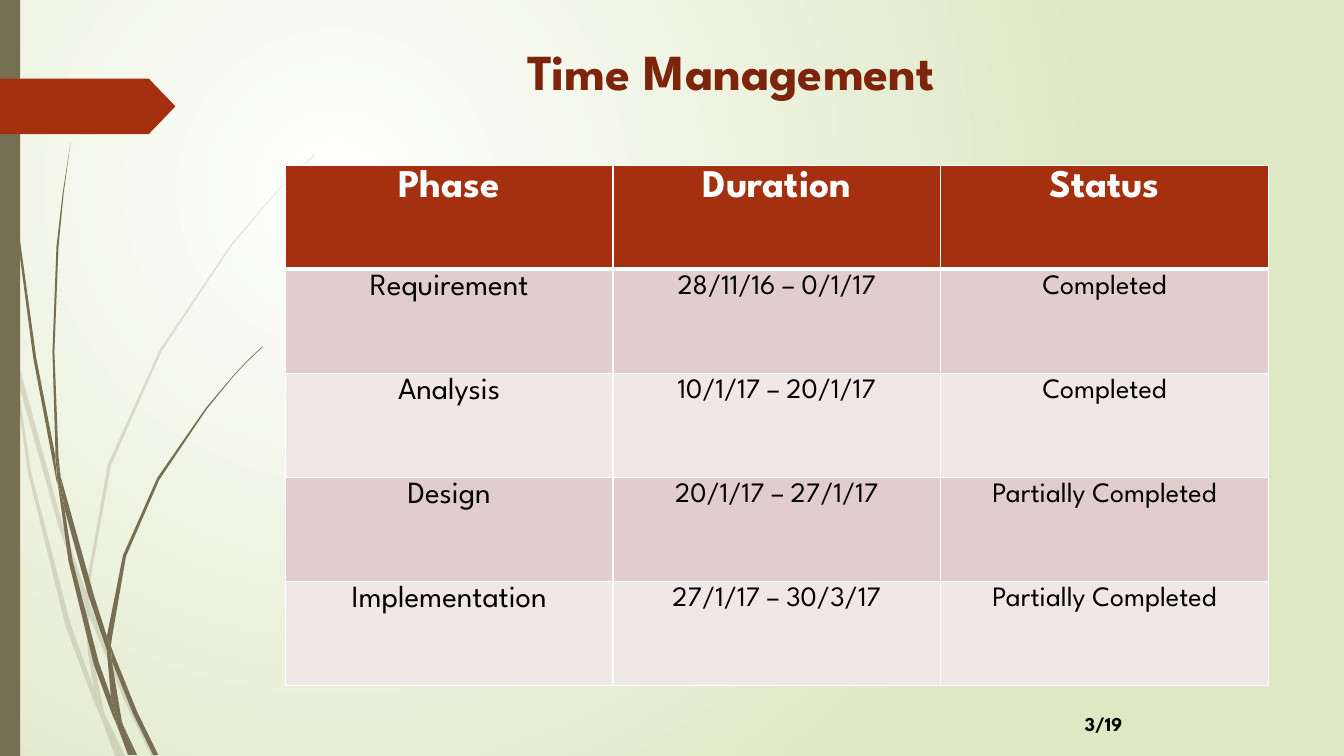
import pptx
import pptx.util
import pptx.dml.color
import pptx.enum.shapes
import pptx.enum.text
import pptx.oxml
import pptx.oxml.ns

Inches = pptx.util.Inches
Pt = pptx.util.Pt
RGBColor = pptx.dml.color.RGBColor
SHAPE = pptx.enum.shapes.MSO_SHAPE
ALIGN = pptx.enum.text.PP_ALIGN
ANCHOR = pptx.enum.text.MSO_ANCHOR
qn = pptx.oxml.ns.qn
NS = pptx.oxml.ns.nsdecls("a")

FONT = "League Spartan"
WHITE = RGBColor(0xFF, 0xFF, 0xFF)
BLACK = RGBColor(0, 0, 0)
GREEN = RGBColor(0xDF, 0xE8, 0xC4)
OLIVE = RGBColor(0x76, 0x6F, 0x54)
RUST = RGBColor(0xA5, 0x30, 0x10)
BROWN = RGBColor(0x7C, 0x24, 0x0C)
ROSE = RGBColor(0xE1, 0xCD, 0xCC)
BLUSH = RGBColor(0xF0, 0xE8, 0xE7)

ROWS = [
    ("Phase", "Duration", "Status"),
    ("Requirement", "28/11/16 – 0/1/17", "Completed"),
    ("Analysis", "10/1/17 – 20/1/17", "Completed"),
    ("Design", "20/1/17 – 27/1/17", "Partially Completed"),
    ("Implementation", "27/1/17 – 30/3/17", "Partially Completed"),
]

PALE = [
    [(0.11, 3.5), (0.09, 3.22), (0, 2.82), (0, 2.99), (0.1, 3.44)],
    [(0.58, 5.22), (0.84, 5.99), (0.85, 5.86), (0.62, 5.2), (0.14, 3.45), (0.17, 3.76)],
    [(0.92, 6.07), (0.88, 5.96), (0.88, 6.1), (1.23, 6.94), (1.5, 7.5), (1.55, 7.5),
     (1.27, 6.92)],
    [(1.19, 7.5), (1.24, 7.5), (1.05, 7.11)],
    [(0.93, 6.83), (0.7, 6.19), (0.31, 4.69), (0.17, 3.76), (0.11, 3.5), (0.28, 4.7),
     (0.65, 6.21), (0.92, 6.93), (1.01, 7.14), (0.99, 7.07)],
    [(0.84, 5.99), (0.87, 6.46), (0.93, 6.83), (0.96, 6.92), (1.05, 7.11), (1.03, 7.06),
     (0.91, 6.46), (0.88, 6.1), (0.88, 6.08)],
    [(0.88, 5.84), (1.1, 4.62), (1.6, 3.49), (2.29, 2.45), (2.68, 1.98), (2.9, 1.75),
     (3.12, 1.54), (3.12, 1.53), (2.89, 1.75), (2.68, 1.97), (2.28, 2.44), (1.58, 3.48),
     (1.07, 4.61), (0.85, 5.84), (0.85, 5.86), (0.88, 5.96)],
    [(1.01, 7.14), (1.14, 7.5), (1.19, 7.5)],
    [(0.88, 6.08), (0.88, 5.96), (0.85, 5.86), (0.84, 5.99)],
    [(0.96, 6.92), (0.93, 6.83), (0.99, 7.07), (1.01, 7.14), (1.19, 7.5), (1.05, 7.11)],
]
DARK = [
    [(0.07, 1.1), (0.17, 2.33), (0.33, 3.55), (0.56, 4.77), (0.57, 4.81), (0.55, 4.57),
     (0.55, 4.53), (0.36, 3.55), (0.19, 2.32), (0.08, 1.09), (0.05, 0.48), (0.04, 0),
     (0.03, 0), (0.04, 0.48)],
    [(0.88, 5.92), (1.06, 6.45), (1.06, 6.31), (0.93, 5.9), (0.6, 4.72), (0.64, 5.05)],
    [(1.13, 6.49), (1.1, 6.41), (1.11, 6.56), (1.32, 7.08), (1.52, 7.49), (1.57, 7.49),
     (1.36, 7.06)],
    [(1.1, 6.91), (0.98, 6.57), (0.72, 5.56), (0.64, 5.05), (0.57, 4.77), (0.68, 5.57),
     (0.93, 6.59), (1.11, 7.08), (1.17, 7.22), (1.16, 7.17)],
    [(0.6, 4.72), (0.58, 4.53), (0.54, 3.49), (0.58, 2.45), (0.63, 1.93), (0.7, 1.41),
     (0.62, 1.93), (0.56, 2.45), (0.52, 3.49), (0.55, 4.49)],
    [(1.33, 7.49), (1.36, 7.49), (1.22, 7.19)],
    [(0.57, 4.77), (0.64, 5.05), (0.6, 4.72), (0.55, 4.49), (0.55, 4.53)],
    [(1.11, 6.33), (1.25, 5.52), (1.58, 4.76), (2.05, 4.06), (2.31, 3.74), (2.45, 3.59),
     (2.61, 3.44), (2.6, 3.44), (2.45, 3.58), (2.31, 3.73), (2.04, 4.05), (1.56, 4.74),
     (1.22, 5.51), (1.06, 6.31), (1.1, 6.41)],
    [(1.17, 7.22), (1.27, 7.49), (1.31, 7.49)],
    [(1.06, 6.45), (1.1, 6.91), (1.16, 7.06), (1.22, 7.19), (1.21, 7.16), (1.11, 6.56),
     (1.09, 6.51)],
    [(1.06, 6.45), (1.09, 6.51), (1.11, 6.56), (1.1, 6.41), (1.06, 6.31), (1.06, 6.33)],
    [(1.16, 7.06), (1.1, 6.91), (1.16, 7.17), (1.17, 7.22), (1.3, 7.49), (1.33, 7.49),
     (1.22, 7.19)],
]


def paint(shape, color):
    shape.shadow.inherit = False
    shape.fill.solid()
    shape.fill.fore_color.rgb = color
    shape.line.fill.background()


def add_blade(slide, knots, alpha=100):
    edge = [(Inches(x), Inches(y)) for x, y in knots]
    pen = slide.shapes.build_freeform(*edge[0])
    pen.add_line_segments(edge[1:], close=True)
    blade = pen.convert_to_shape()
    paint(blade, OLIVE)
    if alpha < 100:
        tint = blade.element.spPr.find(qn("a:solidFill"))[0]
        tint.append(pptx.oxml.parse_xml(f'<a:alpha {NS} val="{alpha * 1000}"/>'))


def add_block(slide, kind, box, color):
    block = slide.shapes.add_shape(kind, *map(Inches, box))
    paint(block, color)
    return block


def write(frame, text, size, color=BLACK, bold=False, align=ALIGN.LEFT, anchor=ANCHOR.TOP):
    frame.word_wrap = True
    frame.vertical_anchor = anchor
    para = frame.paragraphs[0]
    para.alignment = align
    run = para.add_run()
    run.text = text
    run.font.name = FONT
    run.font.size = Pt(size)
    run.font.bold = bold
    run.font.color.rgb = color


def add_label(slide, box, text, **style):
    label = slide.shapes.add_textbox(*map(Inches, box))
    write(label.text_frame, text, **style)


def add_edges(cell, widths):
    props = cell._tc.get_or_add_tcPr()
    for side, width in zip("LRTB", widths):
        props.append(pptx.oxml.parse_xml(
            f'<a:ln{side} {NS} w="{Pt(width)}"><a:solidFill>'
            f'<a:srgbClr val="{WHITE}"/></a:solidFill></a:ln{side}>'))


def add_phases(slide, box):
    table = slide.shapes.add_table(len(ROWS), len(ROWS[0]), *map(Inches, box)).table
    for i, row in enumerate(ROWS):
        head = i == 0
        for j, text in enumerate(row):
            cell = table.cell(i, j)
            add_edges(cell, (1, 1, 3 if i == 1 else 1, 3 if head else 1))
            cell.fill.solid()
            cell.fill.fore_color.rgb = RUST if head else (BLUSH, ROSE)[i % 2]
            size = 28 if head else 22 if j == 0 else 20
            write(cell.text_frame, text, size=size, color=WHITE if head else BLACK,
                  bold=head, align=ALIGN.CENTER)


def add_glow(slide):
    fill = slide.background.fill
    fill.gradient()
    for stop, color in zip(fill.gradient_stops, (WHITE, GREEN)):
        stop.color.rgb = color
    grad = slide.element.find(".//" + qn("a:gradFill"))
    grad.replace(grad.find(qn("a:lin")), pptx.oxml.parse_xml(
        f'<a:path {NS} path="circle">'
        '<a:fillToRect l="50000" t="50000" r="100000" b="100000"/></a:path>'))


def main():
    deck = pptx.Presentation()
    deck.slide_width = Inches(13.33)
    deck.slide_height = Inches(7.5)
    slide = deck.slides.add_slide(deck.slide_layouts[6])
    add_glow(slide)
    for knots in PALE:
        add_blade(slide, knots, alpha=20)
    for knots in DARK:
        add_blade(slide, knots)
    add_block(slide, SHAPE.RECTANGLE, (0, 0, 0.2, 7.5), OLIVE)
    arrow = add_block(slide, SHAPE.PENTAGON, (0, 0.78, 1.74, 0.55), RUST)
    arrow.adjustments[0] = 0.48
    add_label(slide, (2.38, 0.35, 9.75, 1.4), "Time Management",
              size=36, color=BROWN, bold=True, align=ALIGN.CENTER)
    add_phases(slide, (2.83, 1.64, 9.75, 5.16))
    add_label(slide, (10.66, 6.96, 2.68, 0.43), "3/19",
              size=14, bold=True, anchor=ANCHOR.MIDDLE)
    deck.save("out.pptx")


if __name__ == "__main__":
    main()
